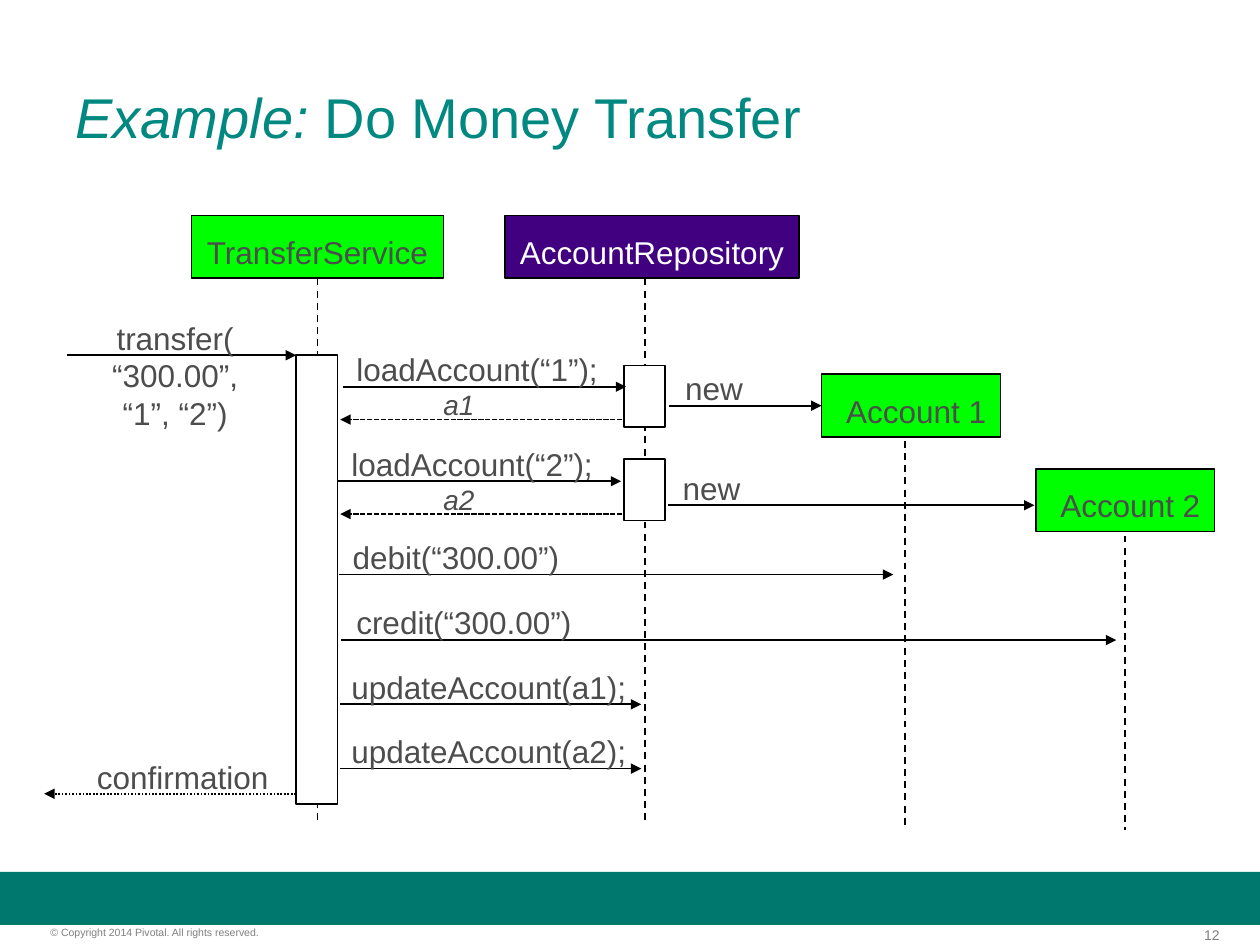
from lxml.etree import SubElement
from pptx import Presentation
from pptx.dml.color import RGBColor
from pptx.enum.dml import MSO_LINE
from pptx.enum.shapes import MSO_CONNECTOR, MSO_SHAPE
from pptx.enum.text import MSO_ANCHOR, PP_ALIGN
from pptx.oxml.ns import qn
from pptx.util import Inches, Pt

BLACK = RGBColor(0, 0, 0)
WHITE = RGBColor(255, 255, 255)
GREEN = RGBColor(0, 255, 0)
PURPLE = RGBColor(0x40, 0, 0x80)
TEAL = RGBColor(0, 0x78, 0x6E)
TITLE_TEAL = RGBColor(0, 0x88, 0x81)
TEXT_GRAY = RGBColor(0x4D, 0x4D, 0x4D)
FOOTER_GRAY = RGBColor(0x7F, 0x7F, 0x7F)


class SequenceSlide:
    font = "Arial"

    def __init__(self, prs):
        self.s = prs.slides.add_slide(prs.slide_layouts[6])

    def style(self, p, size, color, align=PP_ALIGN.LEFT, italic=False):
        p.alignment = align
        p.font.name, p.font.size = self.font, Pt(size)
        p.font.color.rgb = color
        p.font.italic = italic

    def box(self, x, y, w, h, fill, outlined=True):
        sp = self.s.shapes.add_shape(
            MSO_SHAPE.RECTANGLE, Inches(x), Inches(y), Inches(w), Inches(h))
        sp.shadow.inherit = False
        sp.fill.solid()
        sp.fill.fore_color.rgb = fill
        if outlined:
            sp.line.color.rgb = BLACK
            sp.line.width = Pt(1)
        else:
            sp.line.fill.background()
        return sp

    def participant(self, name, x, y, w, fill=GREEN, color=TEXT_GRAY, left_inset=0.1):
        sp = self.box(x, y, w, 0.5, fill)
        tf = sp.text_frame
        tf.word_wrap = False
        tf.vertical_anchor = MSO_ANCHOR.MIDDLE
        tf.margin_left, tf.margin_top = Inches(left_inset), Inches(0.13)
        tf.text = name
        self.style(tf.paragraphs[0], 18, color, PP_ALIGN.CENTER)
        return sp

    def line(self, x1, y1, x2, y2, dash=None, arrow=False):
        cx = self.s.shapes.add_connector(
            MSO_CONNECTOR.STRAIGHT, Inches(x1), Inches(y1), Inches(x2), Inches(y2))
        cx.line.color.rgb = BLACK
        cx.line.width = Pt(1)
        if dash:
            cx.line.dash_style = dash
        if arrow:
            SubElement(cx.line._get_or_add_ln(), qn("a:tailEnd"), type="triangle")
        SubElement(cx._element.spPr, qn("a:effectLst"))
        return cx

    def lifeline(self, x, top, bottom):
        return self.line(x, top, x, bottom, MSO_LINE.DASH)

    def text(self, text, x, y, w, h, size=18, color=TEXT_GRAY,
             align=PP_ALIGN.LEFT, italic=False, inset=True):
        tb = self.s.shapes.add_textbox(Inches(x), Inches(y), Inches(w), Inches(h))
        tf = tb.text_frame
        tf.word_wrap = True
        if not inset:
            tf.margin_left = tf.margin_right = tf.margin_top = tf.margin_bottom = 0
        tf.text = text
        for p in tf.paragraphs:
            self.style(p, size, color, align, italic)
        return tf

    def call(self, label, x1, x2, y, text_x):
        """Solid arrow with its label resting on it."""
        arrow = self.line(x1, y, x2, y, arrow=True)
        self.text(label, text_x, y - 0.34, 2.4, 0.4)
        return arrow

    def reply(self, label, y):
        """Dashed arrow back to the service with its label above."""
        self.line(4.94, y, 2.7, y, MSO_LINE.SQUARE_DOT, arrow=True)
        self.text(label, 3.42, y - 0.3, 0.7, 0.37, 16, italic=True)

    def title(self, lead, rest):
        tf = self.text(lead, 0.5, 0.3, 9, 1.25, 32, TITLE_TEAL)
        tf.vertical_anchor = MSO_ANCHOR.MIDDLE
        p = tf.paragraphs[0]
        p.runs[0].font.italic = True
        p.add_run().text = rest


def main():
    prs = Presentation()
    prs.slide_width, prs.slide_height = Inches(10), Inches(7.5)
    d = SequenceSlide(prs)

    d.box(0, 6.92, 10, 0.42, TEAL, outlined=False)
    d.text("12", 9.33, 7.35, 0.35, 0.13, 8, FOOTER_GRAY, PP_ALIGN.RIGHT, inset=False)
    d.text("© Copyright 2014 Pivotal. All rights reserved.",
           0.4, 7.35, 2.49, 0.1, 6, FOOTER_GRAY, inset=False)
    d.title("Example:", " Do Money Transfer")

    service = d.participant("TransferService", 1.52, 1.71, 2)
    d.participant("AccountRepository", 4.01, 1.71, 2.33, PURPLE, WHITE)
    account1 = d.participant("Account 1", 6.52, 2.97, 1.42, left_inset=0.18)
    d.participant("Account 2", 8.22, 3.72, 1.42, left_inset=0.18)

    d.lifeline(2.52, 2.21, 6.55).begin_connect(service, 2)
    d.lifeline(5.12, 2.21, 6.55)
    d.lifeline(7.18, 3.5, 6.57)
    d.lifeline(8.93, 4.25, 6.59)

    d.line(0.53, 2.82, 2.35, 2.82, arrow=True)
    d.text("transfer(\n“300.00”,\n“1”, “2”)", 0.35, 2.48, 2.08, 1, align=PP_ALIGN.CENTER)
    d.line(2.35, 6.3, 0.35, 6.3, MSO_LINE.ROUND_DOT, arrow=True)
    d.text("confirmation", 0.67, 5.97, 1.56, 0.4, align=PP_ALIGN.CENTER)

    d.box(2.35, 2.82, 0.33, 3.56, WHITE)
    for y in (2.9, 3.64):
        d.box(4.95, y, 0.33, 0.49, WHITE)

    for label, x1, x2, y, text_x in (
        ("loadAccount(“1”);", 2.72, 4.97, 3.07, 2.73),
        ("loadAccount(“2”);", 2.68, 4.93, 3.82, 2.69),
        ("debit(“300.00”)", 2.69, 7.09, 4.56, 2.7),
        ("credit(“300.00”)", 2.71, 8.86, 5.08, 2.73),
        ("updateAccount(a1);", 2.7, 5.09, 5.59, 2.69),
        ("updateAccount(a2);", 2.7, 5.09, 6.1, 2.69),
        ("new", 5.3, 8.21, 4.01, 5.32),
    ):
        d.call(label, x1, x2, y, text_x)
    d.call("new", 5.31, 6.52, 3.22, 5.34).end_connect(account1, 1)
    d.reply("a1", 3.33)
    d.reply("a2", 4.08)

    prs.save("out.pptx")


if __name__ == "__main__":
    main()
